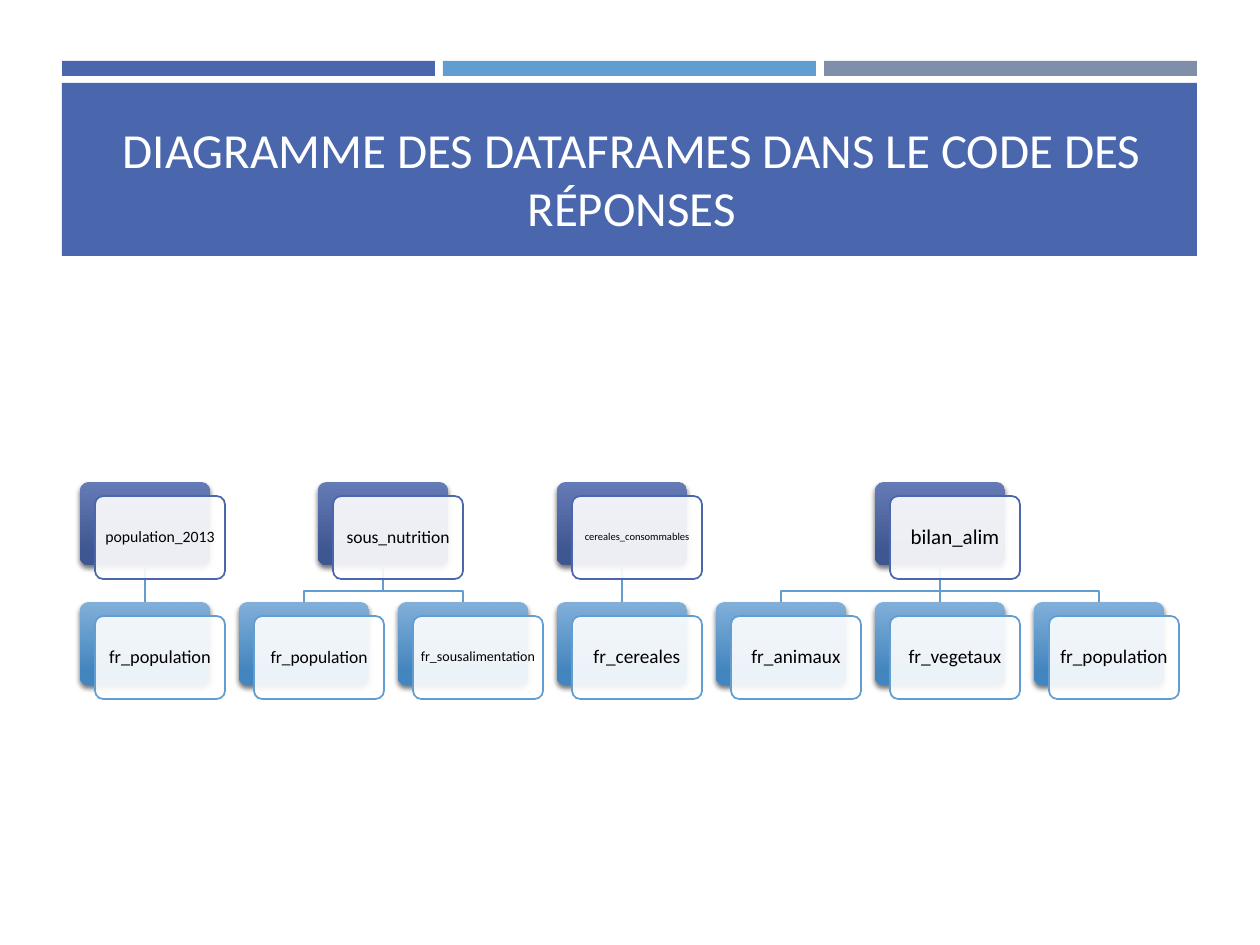
from dataclasses import dataclass

from lxml import etree
from pptx import Presentation
from pptx.dml.color import RGBColor
from pptx.enum.shapes import MSO_CONNECTOR, MSO_SHAPE
from pptx.enum.text import MSO_ANCHOR, MSO_AUTO_SIZE, PP_ALIGN
from pptx.oxml.ns import qn
from pptx.util import Emu, Pt

RECT, ROUNDED = MSO_SHAPE.RECTANGLE, MSO_SHAPE.ROUNDED_RECTANGLE
STRAIGHT = MSO_CONNECTOR.STRAIGHT
CENTER = PP_ALIGN.CENTER
MIDDLE, BOTTOM = MSO_ANCHOR.MIDDLE, MSO_ANCHOR.BOTTOM
NO_FIT = MSO_AUTO_SIZE.NONE
TOP_SITE, BOTTOM_SITE = 0, 2
PX_PER_INCH = 126


@dataclass(frozen=True)
class Level:
    """Look and row of one level of the tree."""
    top: int
    outline: str
    light: str
    dark: str


@dataclass(frozen=True)
class Theme:
    font: str = "Calibri"
    title_size: int = 28
    white: str = "FFFFFF"
    black: str = "000000"
    indigo: str = "4A66AC"
    sky: str = "629DD1"
    slate: str = "7F8FA9"
    root: Level = Level(482, "4A66AC", "657BB6", "3E5691")
    leaf: Level = Level(602, "629DD1", "81AFD9", "4385BF")


@dataclass(frozen=True)
class Box:
    left: int
    top: int
    width: int
    height: int

    def emu(self) -> list[Emu]:
        return [px(v) for v in (self.left, self.top, self.width, self.height)]


@dataclass(frozen=True)
class Frame:
    """A dataframe with its type size and the dataframes derived from it."""
    name: str
    size: float
    derived: tuple["Frame", ...] = ()


@dataclass(frozen=True)
class Card:
    frame: Frame
    level: Level
    box: Box

    @property
    def center(self) -> int:
        return self.box.left + self.box.width // 2


THEME = Theme()
BAND = Box(62, 83, 1135, 173)
TITLE = Box(81, 94, 1101, 149)
BAR_TOP, BAR_WIDTH, BAR_HEIGHT, BAR_GAP = 61, 373, 15, 8
CARD_LEFT, CARD_PITCH, CARD_WIDTH, CARD_HEIGHT = 80, 159, 130, 83
FRONT_DX, FRONT_DY = 15, 14
BEND_DROP = 26

FRAMES = (
    Frame("population_2013", 9, (Frame("fr_population", 10.5),)),
    Frame("sous_nutrition", 10, (Frame("fr_population", 10),
                                 Frame("fr_sousalimentation", 8))),
    Frame("cereales_consommables", 6, (Frame("fr_cereales", 11),)),
    Frame("bilan_alim", 12, (Frame("fr_animaux", 11), Frame("fr_vegetaux", 11),
                             Frame("fr_population", 11))),
)


def px(value: int) -> Emu:
    return Emu(round(value * 914400 / PX_PER_INCH))


def rgb(color: str) -> RGBColor:
    return RGBColor.from_string(color)


def set_all(target, values: dict) -> None:
    for name, value in values.items():
        setattr(target, name, value)


def write(shape, text: str, size: float, color: str, anchor, spacing: float) -> None:
    frame = shape.text_frame
    set_all(frame, {"text": text, "auto_size": NO_FIT, "vertical_anchor": anchor})
    paragraph = frame.paragraphs[0]
    set_all(paragraph, {"alignment": CENTER, "line_spacing": spacing})
    set_all(paragraph.font, {"name": THEME.font, "size": Pt(size)})
    paragraph.font.color.rgb = rgb(color)


def add_plain(slide, box: Box, color: str, preset=RECT):
    shape = slide.shapes.add_shape(preset, *box.emu())
    shape.shadow.inherit = False
    shape.fill.solid()
    shape.fill.fore_color.rgb = rgb(color)
    shape.line.fill.background()
    if preset == ROUNDED:
        shape.adjustments[0] = 0.1
    return shape


def add_back(slide, card: Card):
    """Draw the shaded plate behind a card."""
    plate = add_plain(slide, card.box, card.level.dark, ROUNDED)
    plate.fill.gradient()
    plate.fill.gradient_angle = 270
    colors = (card.level.light, card.level.dark)
    for stop, position, color in zip(plate.fill.gradient_stops, (0, 0.84), colors):
        stop.position = position
        stop.color.rgb = rgb(color)
    effects = plate.element.spPr.find(qn("a:effectLst"))
    shadow = etree.SubElement(effects, qn("a:outerShdw"), blurRad=str(Pt(3)),
                              dist=str(Pt(2)), dir="5400000", rotWithShape="0")
    tint = etree.SubElement(shadow, qn("a:srgbClr"), val=THEME.black)
    etree.SubElement(tint, qn("a:alpha"), val="55000")
    return plate


def add_front(slide, card: Card) -> None:
    """Draw the translucent, labelled face of a card."""
    box = Box(card.box.left + FRONT_DX, card.box.top + FRONT_DY,
              card.box.width, card.box.height)
    face = add_plain(slide, box, THEME.white, ROUNDED)
    tint = face.element.spPr.find(qn("a:solidFill")).find(qn("a:srgbClr"))
    etree.SubElement(tint, qn("a:alpha"), val="90000")
    face.line.color.rgb = rgb(card.level.outline)
    face.line.width = Pt(1)
    set_all(face.text_frame, {"word_wrap": False, "margin_left": px(5), "margin_right": px(5),
                              "margin_top": px(5), "margin_bottom": px(5)})
    write(face, card.frame.name, card.frame.size, THEME.black, MIDDLE, 0.9)


def add_link(slide, parent: Card, child: Card, parent_plate, child_plate) -> None:
    start = parent.box.top + parent.box.height
    if parent.center == child.center:
        link = slide.shapes.add_connector(STRAIGHT, 0, 0, 0, 0)
        link.begin_connect(parent_plate, BOTTOM_SITE)
        link.end_connect(child_plate, TOP_SITE)
        etree.SubElement(link.element.spPr, qn("a:effectLst"))
    else:
        bend = start + BEND_DROP
        corners = ((parent.center, bend), (child.center, bend), (child.center, child.box.top))
        builder = slide.shapes.build_freeform(px(parent.center), px(start))
        builder.add_line_segments([(px(x), px(y)) for x, y in corners], close=False)
        link = builder.convert_to_shape()
        link.fill.background()
        link.shadow.inherit = False
    link.line.color.rgb = rgb(THEME.sky)
    link.line.width = Pt(1)


def make_card(frame: Frame, level: Level, column: float) -> Card:
    left = CARD_LEFT + round(CARD_PITCH * column)
    return Card(frame, level, Box(left, level.top, CARD_WIDTH, CARD_HEIGHT))


def lay_out(frames: tuple[Frame, ...]) -> list[tuple[Card, list[Card]]]:
    """Give each leaf the next column and center each root over its leaves."""
    families, column = [], 0
    for frame in frames:
        count = len(frame.derived)
        root = make_card(frame, THEME.root, column + (count - 1) / 2)
        leaves = [make_card(leaf, THEME.leaf, column + i) for i, leaf in enumerate(frame.derived)]
        families.append((root, leaves))
        column += count
    return families


def add_tree(slide) -> None:
    families = lay_out(FRAMES)
    cards = [card for root, leaves in families for card in (root, *leaves)]
    plates = {card: add_back(slide, card) for card in cards}
    for root, leaves in families:
        for leaf in leaves:
            add_link(slide, root, leaf, plates[root], plates[leaf])
    for card in cards:
        add_front(slide, card)


def add_header(slide) -> None:
    for i, color in enumerate((THEME.indigo, THEME.sky, THEME.slate)):
        left = BAND.left + i * (BAR_WIDTH + BAR_GAP)
        add_plain(slide, Box(left, BAR_TOP, BAR_WIDTH, BAR_HEIGHT), color)
    add_plain(slide, BAND, THEME.indigo)
    title = slide.shapes.title
    set_all(title, dict(zip(("left", "top", "width", "height"), TITLE.emu())))
    write(title, "DIAGRAMME DES DATAFRAMES DANS LE CODE DES RÉPONSES",
          THEME.title_size, THEME.white, BOTTOM, 1.0)
    slide.shapes.element.append(title.element)  # in front of the band


def main() -> None:
    deck = Presentation()
    set_all(deck, {"slide_width": px(1260), "slide_height": px(945)})
    slide = deck.slides.add_slide(deck.slide_layouts[5])
    add_header(slide)
    add_tree(slide)
    deck.save("out.pptx")


if __name__ == "__main__":
    main()
